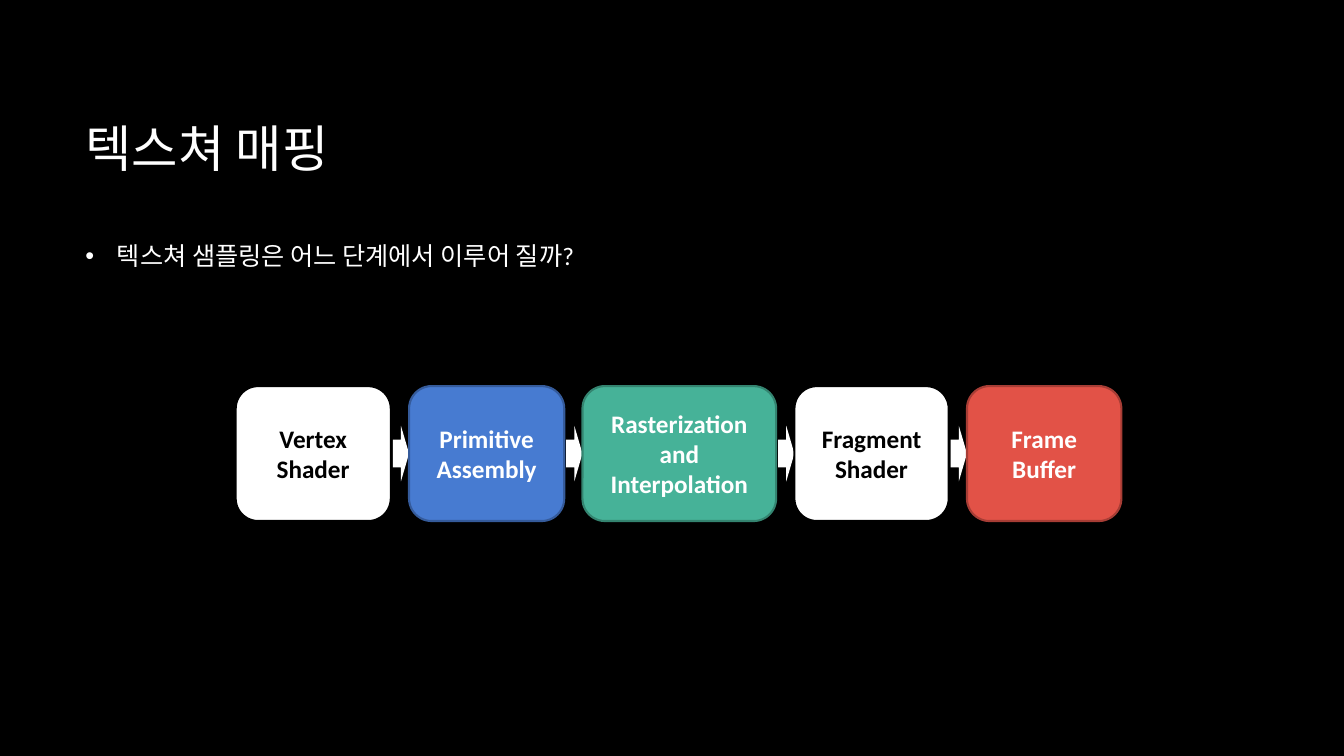
import pptx
import pptx.util
import pptx.dml.color
import pptx.enum.shapes
import pptx.enum.text
import pptx.oxml
import pptx.oxml.ns

Cm = pptx.util.Cm
Pt = pptx.util.Pt
KIND = pptx.enum.shapes.MSO_SHAPE
ALIGN = pptx.enum.text.PP_ALIGN
ANCHOR = pptx.enum.text.MSO_ANCHOR

HUES = {
    "black": "000000", "white": "FFFFFF",
    "blue": "477BD1", "navy": "355B9B",
    "green": "46B298", "pine": "348470",
    "red": "E25247", "brick": "A73D35",
}


def rgb(name):
    return pptx.dml.color.RGBColor.from_string(HUES[name])


def write(shape, text, size, hue, align, anchor, bold=False):
    """Fill a shape with one paragraph and return that paragraph."""
    frame = shape.text_frame
    frame.text = text
    frame.word_wrap = True
    frame.auto_size = pptx.enum.text.MSO_AUTO_SIZE.NONE
    frame.vertical_anchor = anchor
    para = frame.paragraphs[0]
    para.alignment = align
    para.font.name = "Calibri"
    para.font.size = Pt(size)
    para.font.bold = bold
    para.font.color.rgb = rgb(hue)
    return para


deck = pptx.Presentation()
deck.slide_width, deck.slide_height = Cm(33.87), Cm(19.05)
slide = deck.slides.add_slide(deck.slide_layouts[1])
slide.background.fill.solid()
slide.background.fill.fore_color.rgb = rgb("black")

# Title and question
title, body = slide.placeholders
title.left, title.top, title.width, title.height = Cm(1.9), Cm(1.7), Cm(28.15), Cm(4.04)
write(title, "텍스쳐 매핑", 36, "white", ALIGN.LEFT, ANCHOR.MIDDLE)

body.left, body.top, body.width, body.height = Cm(1.9), Cm(5.94), Cm(28.15), Cm(2.36)
para = write(body, "텍스쳐 샘플링은 어느 단계에서 이루어 질까?", 18, "white", ALIGN.LEFT, ANCHOR.TOP)
para.space_before, para.space_after = Pt(0), Pt(10)
props = para._p.get_or_add_pPr()
props.set("marL", str(Cm(0.79)))
props.set("indent", str(-Cm(0.79)))
space = pptx.oxml.ns.nsdecls("a")
for xml in (
    f'<a:buClr {space}><a:srgbClr val="{HUES["white"]}"/></a:buClr>',
    f'<a:buFont {space} typeface="Arial"/>',
    f'<a:buChar {space} char="•"/>',
):
    props.append(pptx.oxml.parse_xml(xml))

# Pipeline: stages in a row, with an arrow in each gap
STAGES = [
    ("Vertex Shader", 3.91, "white", "black", "black"),
    ("Primitive Assembly", 3.91, "blue", "navy", "white"),
    ("Rasterization and Interpolation", 4.88, "green", "pine", "white"),
    ("Fragment Shader", 3.89, "white", "black", "black"),
    ("Frame Buffer", 3.89, "red", "brick", "white"),
]
TOP, HIGH, GAP = 9.73, 3.4, 0.46
WIDE, TALL = 0.41, 1.4

left = 5.94
for step, (label, width, fill, edge, ink) in enumerate(STAGES):
    if step:
        arrow = slide.shapes.add_shape(
            KIND.RIGHT_ARROW, Cm(left - WIDE), Cm(TOP + (HIGH - TALL) / 2), Cm(WIDE), Cm(TALL))
        arrow.shadow.inherit = False
        arrow.fill.solid()
        arrow.fill.fore_color.rgb = rgb("white")
        arrow.line.fill.background()
    box = slide.shapes.add_shape(
        KIND.ROUNDED_RECTANGLE, Cm(left), Cm(TOP), Cm(width), Cm(HIGH))
    box.shadow.inherit = False
    box.fill.solid()
    box.fill.fore_color.rgb = rgb(fill)
    box.line.color.rgb = rgb(edge)
    box.line.width = Pt(1.5)
    write(box, label, 18, ink, ALIGN.CENTER, ANCHOR.MIDDLE, bold=True)
    left += width + GAP

deck.save("out.pptx")
